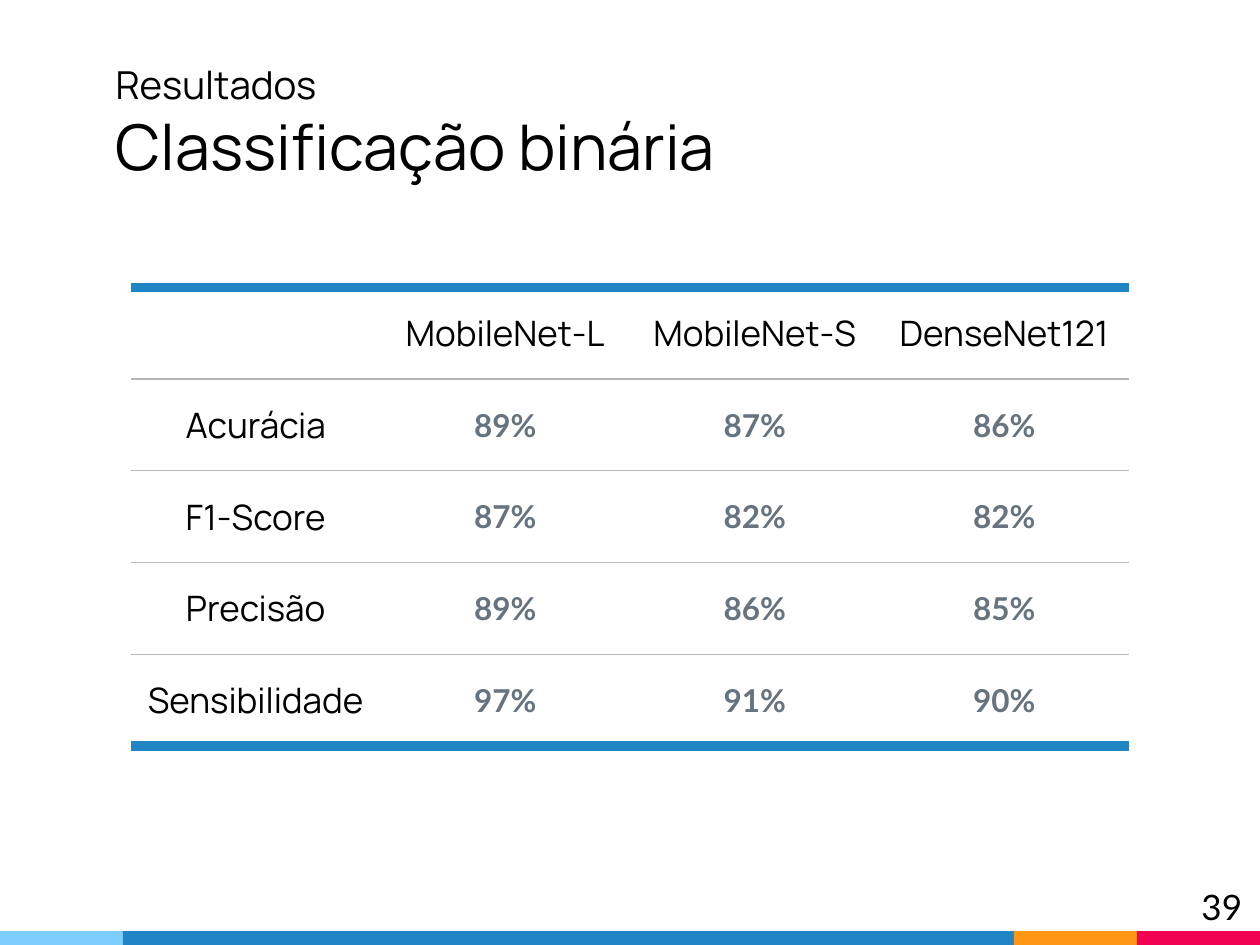
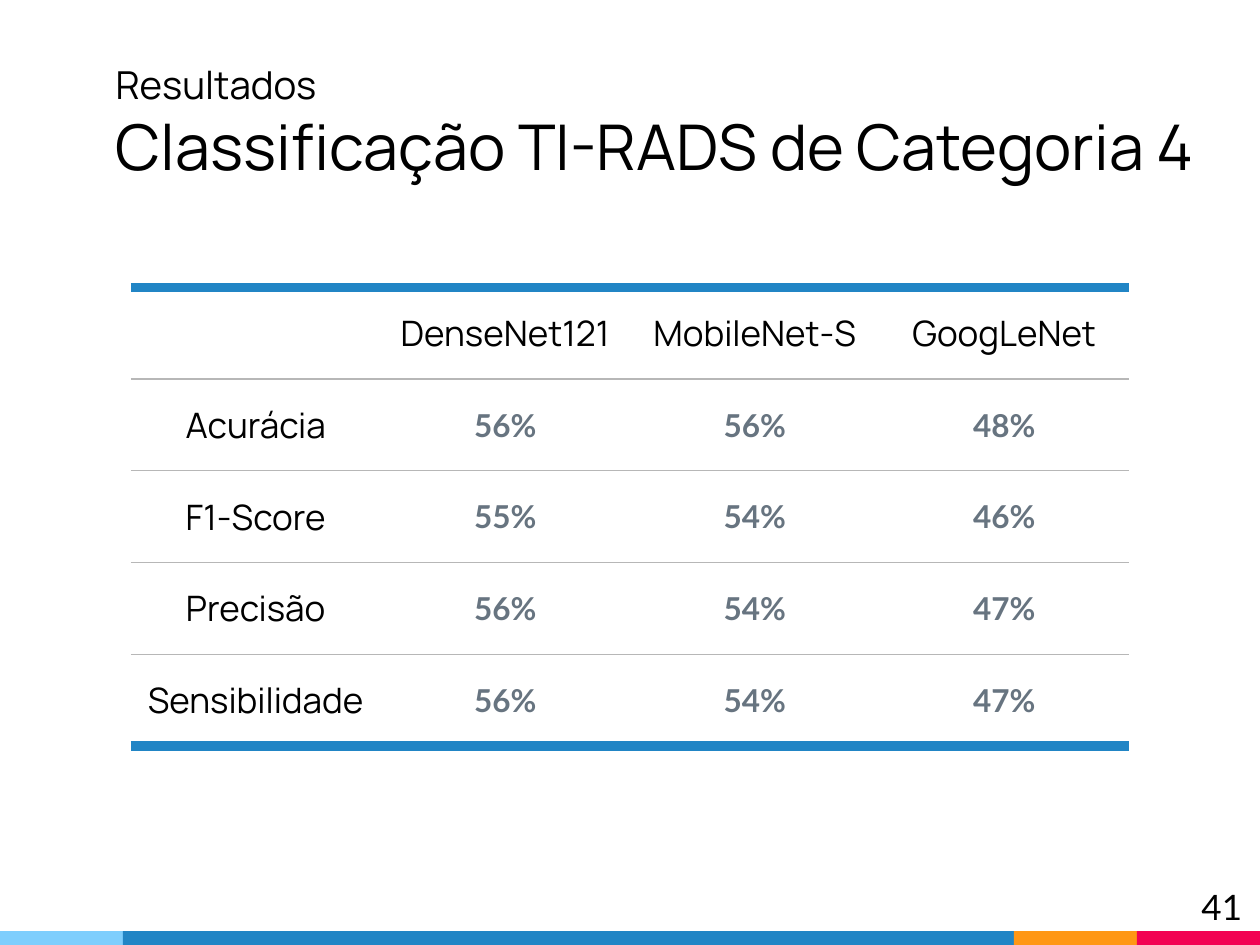
from lxml.etree import SubElement
from pptx import Presentation
from pptx.dml.color import RGBColor
from pptx.enum.shapes import MSO_SHAPE
from pptx.enum.text import MSO_ANCHOR, PP_ALIGN
from pptx.oxml.ns import qn
from pptx.util import Cm, Pt

BLACK = RGBColor(0x00, 0x00, 0x00)
SLATE = RGBColor(0x67, 0x74, 0x80)
RULE_GREY = RGBColor(0xB7, 0xB7, 0xB7)
SKY = RGBColor(0x7E, 0xCE, 0xFD)
BLUE = RGBColor(0x21, 0x85, 0xC5)
ORANGE = RGBColor(0xFF, 0x97, 0x15)
CRIMSON = RGBColor(0xF2, 0x02, 0x53)

BANDS = [(SKY, 2.48), (BLUE, 17.96), (ORANGE, 2.48), (CRIMSON, 2.48)]
METRICS = ["Acurácia", "F1-Score", "Precisão", "Sensibilidade"]
RESULTS = [
    ("39", "Classificação binária",
     ["MobileNet-L", "MobileNet-S", "DenseNet121"],
     [(89, 87, 86), (87, 82, 82), (89, 86, 85), (97, 91, 90)]),
    ("41", "Classificação TI-RADS de Categoria 4",
     ["DenseNet121", "MobileNet-S", "GoogLeNet"],
     [(56, 56, 48), (55, 54, 46), (56, 54, 47), (56, 54, 47)]),
]


def write_text(para, text, *, size=20, font="Manrope", colour=BLACK,
               bold=False, align=PP_ALIGN.LEFT):
    """Append a formatted span of text to a paragraph."""
    para.alignment = align
    span = para.add_run()
    span.text = text
    span.font.size = Pt(size)
    span.font.name = font
    span.font.bold = bold
    span.font.color.rgb = colour


def set_border(cell, side, colour=None, width=0.75):
    """Draw one cell border, or hide it when no colour is given."""
    line = SubElement(cell._tc.get_or_add_tcPr(), qn(f"a:ln{side}"), w=str(Pt(width)))
    if colour is None:
        SubElement(line, qn("a:noFill"))
    else:
        fill = SubElement(line, qn("a:solidFill"))
        SubElement(fill, qn("a:srgbClr"), val=str(colour))


class ResultSlides:
    """Hold the deck, its shared style and the current page."""

    inset = Cm(0.25)

    def __init__(self):
        """Start an empty deck of 4:3 pages."""
        self.deck = Presentation()
        self.deck.slide_width = Cm(25.4)
        self.deck.slide_height = Cm(19.05)
        self.page = None

    def add_page(self):
        """Start a blank page with the coloured band at its foot."""
        self.page = self.deck.slides.add_slide(self.deck.slide_layouts[6])
        left = 0
        for colour, width in BANDS:
            band = self.page.shapes.add_shape(
                MSO_SHAPE.RECTANGLE, Cm(left), Cm(18.77), Cm(width), Cm(0.28))
            band.shadow.inherit = False
            band.fill.solid()
            band.fill.fore_color.rgb = colour
            band.line.fill.background()
            left += width

    def set_margins(self, holder):
        """Give a text frame or a cell the shared inset."""
        holder.margin_left = holder.margin_right = self.inset
        holder.margin_top = holder.margin_bottom = self.inset

    def add_box(self, left, top, width, height, anchor=MSO_ANCHOR.TOP):
        """Add a wrapping text box and return its first paragraph."""
        box = self.page.shapes.add_textbox(Cm(left), Cm(top), Cm(width), Cm(height))
        frame = box.text_frame
        frame.word_wrap = True
        frame.vertical_anchor = anchor
        self.set_margins(frame)
        return frame.paragraphs[0]

    def add_title(self, section, title):
        """Write the section name above the page title."""
        para = self.add_box(2.08, 0.76, 23.19, 3.18, MSO_ANCHOR.BOTTOM)
        write_text(para, section, size=22)
        para.add_line_break()
        write_text(para, title, size=36)

    def add_number(self, number):
        """Write the page number at the lower right."""
        para = self.add_box(23.77, 17.6, 1.52, 1.45)
        write_text(para, number, font="Lato", align=PP_ALIGN.RIGHT)

    def add_table(self, rows, column_width=5.03, row_height=1.85):
        """Add a ruled table with a heading row and a heading column."""
        count, columns = len(rows), len(rows[0])
        frame = self.page.shapes.add_table(
            count, columns, Cm(2.64), Cm(5.79),
            Cm(column_width * columns), Cm(row_height * count))
        table = frame.table
        table.first_row = table.horz_banding = False
        for row_index, row in enumerate(rows):
            for column_index, text in enumerate(row):
                cell = table.cell(row_index, column_index)
                cell.vertical_anchor = MSO_ANCHOR.MIDDLE
                self.set_margins(cell)
                self.rule_cell(cell, row_index == 0, row_index == count - 1)
                if text:
                    is_value = row_index > 0 and column_index > 0
                    look = dict(size=18, font="Lato", colour=SLATE, bold=True) if is_value else {}
                    write_text(cell.text_frame.paragraphs[0], text,
                               align=PP_ALIGN.CENTER, **look)

    def rule_cell(self, cell, is_first, is_last):
        """Rule a cell above and below, heavily at the table's edges."""
        for side in "LR":
            set_border(cell, side)
        for side, at_edge in (("T", is_first), ("B", is_last)):
            if at_edge:
                set_border(cell, side, BLUE, 6)
            else:
                set_border(cell, side, RULE_GREY)
        cell.fill.background()


def main():
    """Build one page for each classification result."""
    slides = ResultSlides()
    for number, title, models, scores in RESULTS:
        slides.add_page()
        rows = [["", *models]]
        for metric, values in zip(METRICS, scores):
            rows.append([metric, *(f"{value}%" for value in values)])
        slides.add_table(rows)
        slides.add_number(number)
        slides.add_title("Resultados", title)
    slides.deck.save("out.pptx")


if __name__ == "__main__":
    main()
